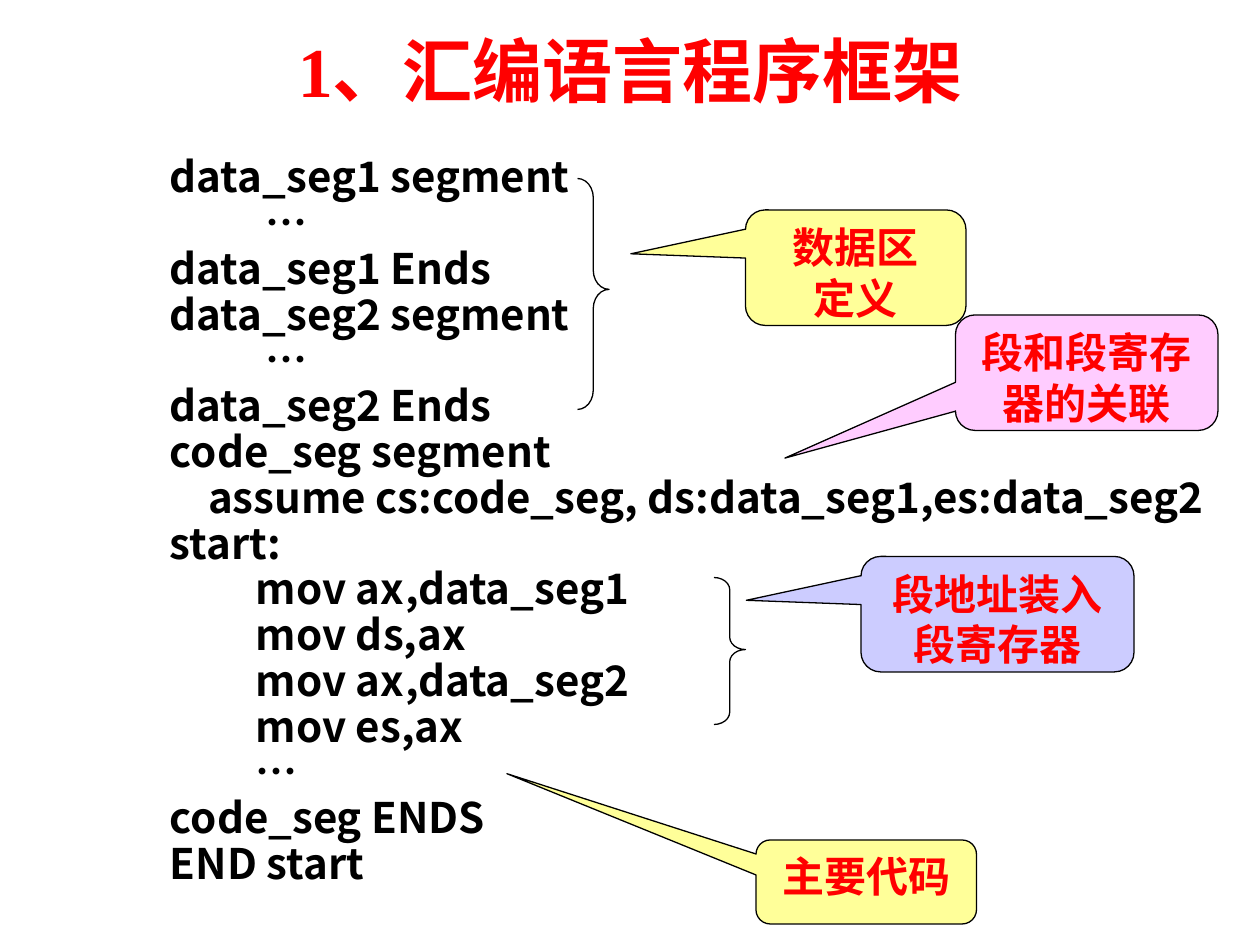
from pptx import Presentation
from pptx import util as u
from pptx.dml import color
from pptx.enum import shapes, text
from pptx.oxml import ns

Pt = u.Pt
COLORS = {"red": "FF0000", "black": "000000", "yellow": "FFFF99", "pink": "FFCCFF", "lilac": "CCCCFF"}
SERIF, SANS = "Times New Roman", "Noto Sans CJK SC"
TITLE_FONT = {"size": Pt(40), "name": SERIF, "bold": True}
CODE_FONT = {"size": Pt(24), "name": SANS, "bold": True}
LABEL_FONT = {"size": Pt(24), "name": SERIF, "bold": True}
CODE = """data_seg1 segment
          …
data_seg1 Ends
data_seg2 segment
          …
data_seg2 Ends
code_seg segment
    assume cs:code_seg, ds:data_seg1,es:data_seg2
start:
         mov ax,data_seg1
         mov ds,ax
         mov ax,data_seg2
         mov es,ax
         …
code_seg ENDS
END start"""
CALLOUTS = [
    ((426, 120, 126, 66), (-1.02, -0.12), "yellow", "数据区\n定义"),
    ((546, 180, 150, 66), (-1.15, 0.74), "pink", "段和段寄存器的关联"),
    ((492, 318, 156, 66), (-0.92, -0.12), "lilac", "段地址装入段寄存器"),
    ((432, 480, 126, 48), (-1.63, -1.29), "yellow", "主要代码"),
]
BRACES = [((330, 102, 18, 132), (0.61, 0.48)), ((408, 330, 18, 84), (0.39, 0.49))]


def rgb(name):
    """Return the named colour."""
    return color.RGBColor.from_string(COLORS[name])


def apply_format(target, values):
    """Set attributes of a target from a dict."""
    for name, value in values.items():
        setattr(target, name, value)


def write(frame, content, font, ink, frame_format, paragraph_format):
    """Fill a text frame with one paragraph per line."""
    apply_format(frame, {"word_wrap": True, **frame_format})
    for index, line in enumerate(content.split("\n")):
        paragraph = frame.add_paragraph() if index else frame.paragraphs[0]
        apply_format(paragraph, paragraph_format)
        if index == 0:
            paragraph.space_before = Pt(0)
        run = paragraph.add_run()
        run.text = line
        apply_format(run.font, font)
        run.font.color.rgb = rgb(ink)
        east_asian = run.font._element.makeelement(ns.qn("a:ea"), {"typeface": SANS})
        run.font._element.append(east_asian)


def add_text(slide, box, *writing):
    """Place a text box."""
    shape = slide.shapes.add_textbox(*map(Pt, box))
    write(shape.text_frame, *writing)


def add_outlined(slide, kind, box, adjustments):
    """Place a preset shape with a thin black outline."""
    shape = slide.shapes.add_shape(kind, *map(Pt, box))
    shape.shadow.inherit = False
    shape.line.color.rgb = rgb("black")
    shape.line.width = Pt(0.75)
    for index, value in enumerate(adjustments):
        shape.adjustments[index] = value
    return shape


def add_brace(slide, box, adjustments):
    """Place a right brace beside a group of code lines."""
    shape = add_outlined(slide, shapes.MSO_SHAPE.RIGHT_BRACE, box, adjustments)
    shape.fill.background()


def add_callout(slide, box, tip, fill, label):
    """Place a rounded callout with its label."""
    kind = shapes.MSO_SHAPE.ROUNDED_RECTANGULAR_CALLOUT
    shape = add_outlined(slide, kind, box, (*tip, 0.17))
    shape.fill.solid()
    shape.fill.fore_color.rgb = rgb(fill)
    write(shape.text_frame, label, LABEL_FONT, "red",
          {"vertical_anchor": text.MSO_ANCHOR.TOP}, {"alignment": text.PP_ALIGN.CENTER})


def build_framework_slide(slide):
    """Place the title, the code and its annotations."""
    add_text(slide, (54, 12, 612, 55.5), "1、汇编语言程序框架", TITLE_FONT, "red",
             {"vertical_anchor": text.MSO_ANCHOR.BOTTOM}, {"alignment": text.PP_ALIGN.CENTER})
    add_text(slide, (90, 90.5, 630, 432), CODE, CODE_FONT, "black",
             {"vertical_anchor": text.MSO_ANCHOR.TOP},
             {"alignment": text.PP_ALIGN.LEFT, "line_spacing": 0.7, "space_before": Pt(6)})
    for brace in BRACES:
        add_brace(slide, *brace)
    for callout in CALLOUTS:
        add_callout(slide, *callout)


def main():
    """Build and save the presentation."""
    presentation = Presentation()
    presentation.slide_width, presentation.slide_height = Pt(720), Pt(540)
    build_framework_slide(presentation.slides.add_slide(presentation.slide_layouts[6]))
    presentation.save("out.pptx")


if __name__ == "__main__":
    main()
